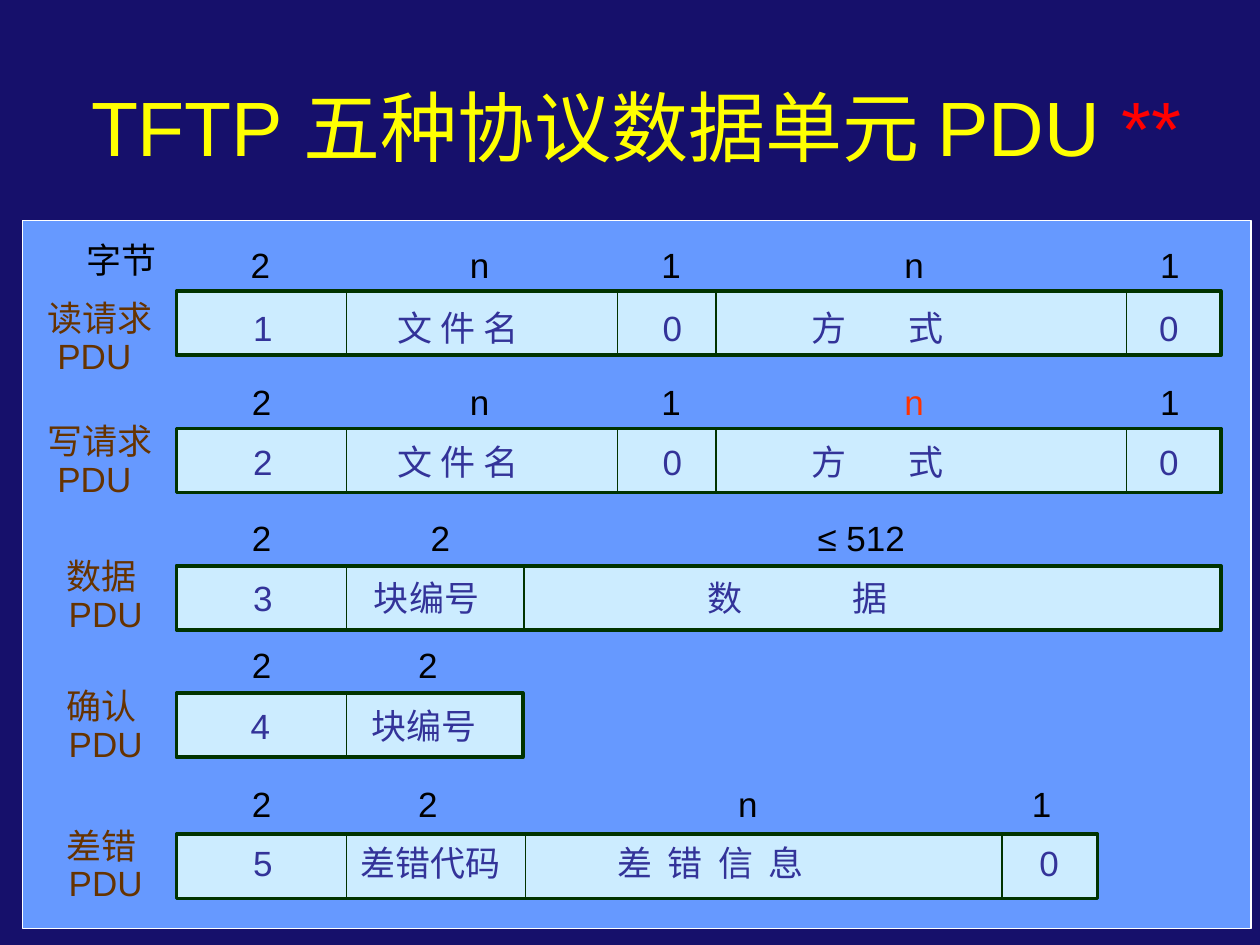
"""Build a slide that shows the five TFTP protocol data units."""
from dataclasses import dataclass

from pptx import Presentation
from pptx.dml.color import RGBColor
from pptx.enum.shapes import MSO_CONNECTOR, MSO_SHAPE
from pptx.enum.text import MSO_ANCHOR, MSO_AUTO_SIZE, PP_ALIGN
from pptx.oxml.ns import qn
from pptx.util import Inches, Pt
from lxml.etree import SubElement

NAVY = RGBColor(0x16, 0x10, 0x6B)
YELLOW = RGBColor(0xFF, 0xFF, 0x01)
RED = RGBColor(0xFF, 0x00, 0x00)
ORANGE = RGBColor(0xFF, 0x33, 0x00)
WHITE = RGBColor(0xFF, 0xFF, 0xFF)
BLACK = RGBColor(0x00, 0x00, 0x00)
BLUE = RGBColor(0x66, 0x99, 0xFF)
PALE = RGBColor(0xCC, 0xEC, 0xFF)
GREEN = RGBColor(0x00, 0x33, 0x00)
BROWN = RGBColor(0x66, 0x33, 0x00)
INDIGO = RGBColor(0x33, 0x33, 0x99)

FONT = "Arial"
FRAME_LEFT = 1.4
FRAME_HEIGHT = 0.51
DIGIT_WIDTH = 0.35
THREE_SIGN_WIDTH = 1.06
LINE_HEIGHT = 0.43


@dataclass
class Field:
    """One field of a unit: its size in bytes and its content."""

    size: str
    size_left: float
    value: str
    value_left: float
    value_width: float = DIGIT_WIDTH
    size_width: float = DIGIT_WIDTH
    size_color: RGBColor = BLACK
    tab_step: float = 0


@dataclass
class Unit:
    """One protocol data unit drawn as a divided frame."""

    name: str
    name_at: tuple
    name_width: float
    top: float
    width: float
    size_top: float
    value_top: float
    dividers: list
    fields: list


def request_fields(opcode, first_size_left, mode_color=BLACK):
    """Return the fields that both request units share."""
    return [
        Field("2", first_size_left, opcode, 1.91),
        Field("n", 3.63, "文 件 名", 3.06, 1.31),
        Field("1", 5.15, "0", 5.16),
        Field("n", 7.08, "方\t式", 6.34, 1.87, size_color=mode_color, tab_step=0.77),
        Field("1", 9.11, "0", 9.1),
    ]


REQUEST_DIVIDERS = [2.75, 4.9, 5.68, 8.94]
UNITS = [
    Unit("读请求\n PDU", (0.28, 2.34), THREE_SIGN_WIDTH, 2.31, 8.29, 1.88, 2.38,
         REQUEST_DIVIDERS, request_fields("1", 1.89)),
    Unit("写请求\n PDU", (0.28, 3.32), THREE_SIGN_WIDTH, 3.4, 8.29, 2.97, 3.45,
         REQUEST_DIVIDERS, request_fields("2", 1.9, ORANGE)),
    Unit(" 数据\n PDU", (0.37, 4.39), 0.92, 4.49, 8.29, 4.05, 4.53, [2.75, 4.16], [
        Field("2", 1.9, "3", 1.91),
        Field("2", 3.32, "块编号", 2.87, THREE_SIGN_WIDTH),
        Field("≤ 512", 6.39, "数\t据", 5.52, 2.7, size_width=0.96, tab_step=1.15),
    ]),
    Unit(" 确认\n PDU", (0.37, 5.42), 0.92, 5.5, 2.75, 5.06, 5.54, [2.75], [
        Field("2", 1.9, "4", 1.89),
        Field("2", 3.22, "块编号", 2.85, THREE_SIGN_WIDTH),
    ]),
    Unit(" 差错\n PDU", (0.37, 6.53), 0.92, 6.62, 7.31, 6.16, 6.63, [2.75, 4.17, 7.95], [
        Field("2", 1.9, "5", 1.91),
        Field("2", 3.22, "差错代码", 2.76, 1.31),
        Field("n", 5.76, "差\t错\t信\t息", 4.8, 2.15, tab_step=0.4),
        Field("1", 8.09, "0", 8.15),
    ]),
]


def style_font(font, size, color):
    """Apply the slide typeface, a size and a colour."""
    font.name = FONT
    font.size = Pt(size)
    font.color.rgb = color


def add_title(page):
    """Fill and place the title."""
    title = page.shapes.title
    title.left, title.top = Inches(0.39), Inches(0.58)
    title.width, title.height = Inches(9.49), Inches(0.83)
    frame = title.text_frame
    frame.auto_size = MSO_AUTO_SIZE.NONE
    frame.vertical_anchor = MSO_ANCHOR.MIDDLE
    para = frame.paragraphs[0]
    para.alignment = PP_ALIGN.CENTER
    for text, color in (("TFTP 五种协议数据单元 PDU", YELLOW), (" ** ", RED)):
        span = para.add_run()
        span.text = text
        style_font(span.font, 44, color)


def add_rectangle(page, left, top, width, height, fill, line, weight):
    """Add a flat outlined rectangle."""
    box = page.shapes.add_shape(
        MSO_SHAPE.RECTANGLE, Inches(left), Inches(top), Inches(width), Inches(height))
    box.shadow.inherit = False
    box.fill.solid()
    box.fill.fore_color.rgb = fill
    box.line.color.rgb = line
    box.line.width = Pt(weight)


def add_divider(page, left, top):
    """Add a vertical line between two fields."""
    line = page.shapes.add_connector(
        MSO_CONNECTOR.STRAIGHT, Inches(left), Inches(top),
        Inches(left), Inches(top + FRAME_HEIGHT))
    line.line.color.rgb = GREEN
    line.line.width = Pt(1)
    SubElement(line._element.spPr, qn("a:effectLst"))


def add_tabs(para, step, count):
    """Set evenly spaced left tab stops."""
    tabs = SubElement(para._p.get_or_add_pPr(), qn("a:tabLst"))
    for index in range(1, count + 1):
        SubElement(tabs, qn("a:tab"), pos=str(Inches(step * index)), algn="l")


def add_text(page, text, left, top, width, color,
             height=LINE_HEIGHT, spacing=None, tab_step=0):
    """Add a text box of one or more lines."""
    box = page.shapes.add_textbox(Inches(left), Inches(top), Inches(width), Inches(height))
    frame = box.text_frame
    frame.word_wrap = bool(tab_step)
    frame.auto_size = MSO_AUTO_SIZE.SHAPE_TO_FIT_TEXT
    frame.text = text
    for para in frame.paragraphs:
        if spacing:
            para.line_spacing = spacing
        if tab_step:
            add_tabs(para, tab_step, text.count("\t"))
        for span in para.runs:
            style_font(span.font, 20, color)


def add_unit(page, unit):
    """Draw a unit with its name, frame, dividers and fields."""
    add_rectangle(page, FRAME_LEFT, unit.top, unit.width, FRAME_HEIGHT, PALE, GREEN, 2)
    add_text(page, unit.name, *unit.name_at, unit.name_width, BROWN, height=0.7, spacing=0.9)
    for left in unit.dividers:
        add_divider(page, left, unit.top)
    for field in unit.fields:
        add_text(page, field.size, field.size_left, unit.size_top,
                 field.size_width, field.size_color)
        add_text(page, field.value, field.value_left, unit.value_top,
                 field.value_width, INDIGO, tab_step=field.tab_step)


def main():
    """Build and save the deck."""
    deck = Presentation()
    deck.slide_width, deck.slide_height = Inches(10), Inches(7.5)
    page = deck.slides.add_slide(deck.slide_layouts[5])
    page.background.fill.solid()
    page.background.fill.fore_color.rgb = NAVY
    add_title(page)
    add_rectangle(page, 0.18, 1.75, 9.75, 5.62, BLUE, WHITE, 0.75)
    for unit in UNITS:
        add_unit(page, unit)
    add_text(page, "字节", 0.59, 1.84, 0.76, BLACK)
    deck.save("out.pptx")


if __name__ == "__main__":
    main()
